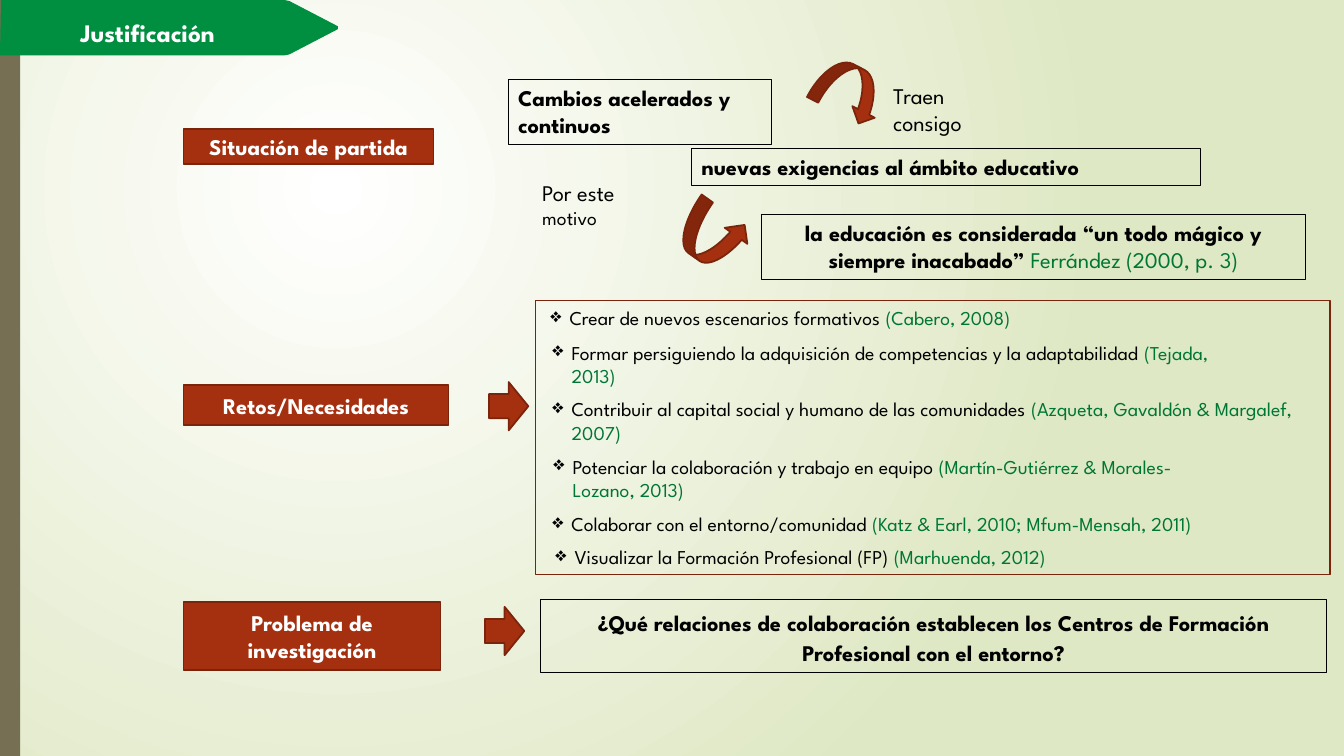
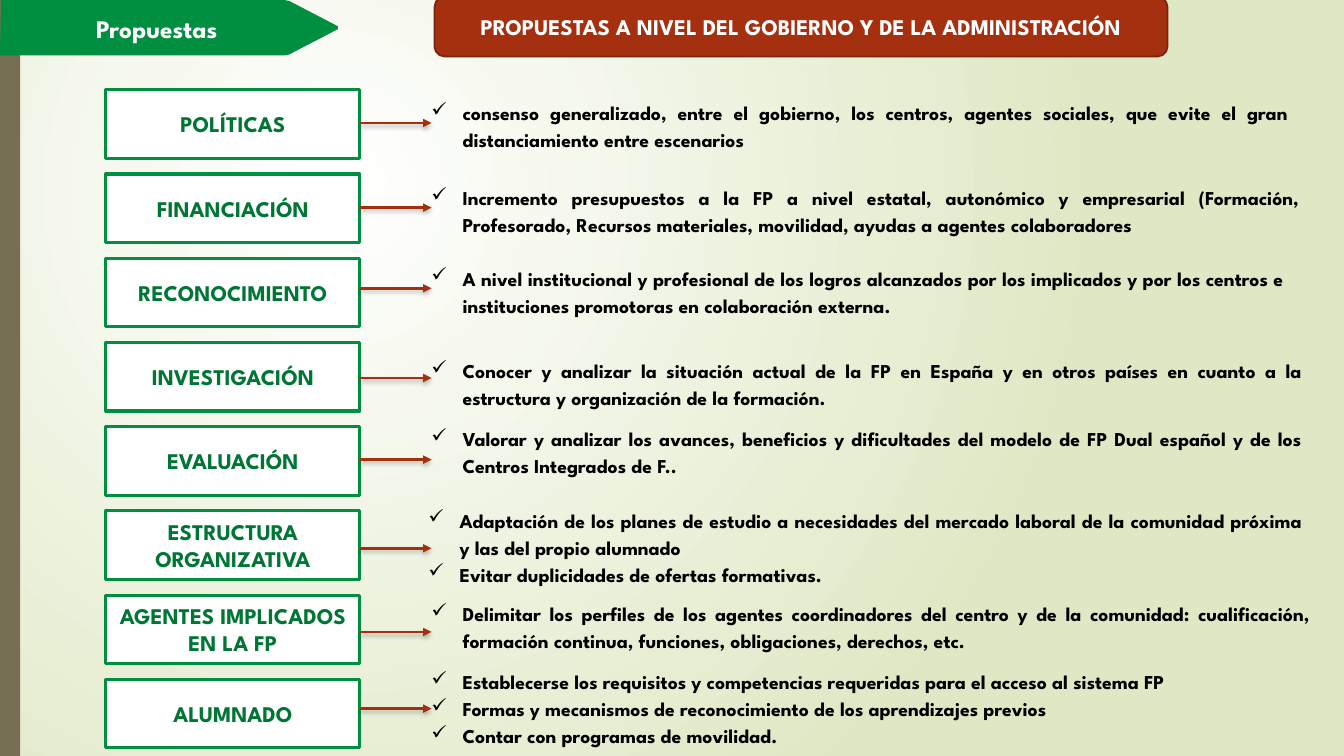
from lxml.etree import SubElement
from pptx import Presentation
from pptx.dml.color import RGBColor
from pptx.enum.shapes import MSO_CONNECTOR, MSO_SHAPE
from pptx.enum.text import MSO_ANCHOR, MSO_AUTO_SIZE, PP_ALIGN
from pptx.oxml.ns import qn
from pptx.util import Inches, Pt

COLORS = {
    "white": "FFFFFF", "black": "000000", "backdrop": "DFE8C4",
    "bar": "766F54", "band": "008E40", "green": "007635",
    "red": "A53010", "dark_red": "7A240C",
}
FONT = "League Spartan"
BAND_OUTLINE = [(0.01, 0), (2.82, 0), (2.87, 0.01), (3.35, 0.26),
                (3.35, 0.29), (2.87, 0.54), (2.82, 0.55), (0, 0.55)]


def rgb(name):
    return RGBColor.from_string(COLORS[name])


class Deck:
    """Holds the shared style and the slide being built."""

    def __init__(self):
        self.prs = Presentation()
        self.prs.slide_width = Inches(13.33)
        self.prs.slide_height = Inches(7.5)
        self.s = None

    def slide(self, title, left, top, width):
        self.s = self.prs.slides.add_slide(self.prs.slide_layouts[6])
        self.backdrop()
        self.shape(MSO_SHAPE.RECTANGLE, 0, 0, 0.2, 7.5, fill="bar")
        points = [(Inches(x), Inches(y)) for x, y in BAND_OUTLINE]
        builder = self.s.shapes.build_freeform(*points[0])
        builder.add_line_segments(points[1:])
        self.paint(builder.convert_to_shape(), "band")
        self.text(left, top, width, 0.4, [title], size=18, color="white",
                  bold=True, align=PP_ALIGN.CENTER)

    def backdrop(self):
        """Radial gradient centred in the upper left quarter."""
        fill = self.s.background.fill
        fill.gradient()
        for stop, name in zip(fill.gradient_stops, ("white", "backdrop")):
            stop.color.rgb = rgb(name)
        grad = self.s.element.find(".//" + qn("a:gradFill"))
        grad.remove(grad.find(qn("a:lin")))
        circle = SubElement(grad, qn("a:path"), path="circle")
        SubElement(circle, qn("a:fillToRect"),
                   l="50000", t="50000", r="100000", b="100000")

    def paint(self, sp, fill=None, line=None, weight=1.25):
        sp.shadow.inherit = False
        if fill:
            sp.fill.solid()
            sp.fill.fore_color.rgb = rgb(fill)
        else:
            sp.fill.background()
        if line:
            sp.line.color.rgb = rgb(line)
            sp.line.width = Pt(weight)
        else:
            sp.line.fill.background()

    def shape(self, kind, left, top, width, height, fill=None, line=None,
              weight=1.25, rotation=0):
        sp = self.s.shapes.add_shape(kind, Inches(left), Inches(top),
                                     Inches(width), Inches(height))
        self.paint(sp, fill, line, weight)
        sp.rotation = rotation
        return sp

    def red(self, kind, *at, rotation=0):
        return self.shape(kind, *at, "red", "dark_red", rotation=rotation)

    def set_text(self, sp, paragraphs, size=16, color="black", bold=False,
                 align=PP_ALIGN.LEFT, spacing=None, bullet=None, indent=0,
                 anchor=MSO_ANCHOR.TOP):
        """A paragraph is a string or a list of (text, run overrides)."""
        tf = sp.text_frame
        tf.word_wrap = True
        tf.vertical_anchor = anchor
        if anchor == MSO_ANCHOR.TOP:
            tf.auto_size = MSO_AUTO_SIZE.SHAPE_TO_FIT_TEXT
        for i, runs in enumerate(paragraphs):
            p = tf.add_paragraph() if i else tf.paragraphs[0]
            p.alignment = align
            if spacing:
                p.line_spacing = spacing
            if bullet:
                pPr = p._p.get_or_add_pPr()
                pPr.set("marL", str(Inches(indent)))
                pPr.set("indent", str(-Inches(indent)))
                SubElement(pPr, qn("a:buChar"), char=bullet)
            for text, changes in [(runs, {})] if isinstance(runs, str) else runs:
                look = {"size": size, "color": color, "bold": bold, **changes}
                r = p.add_run()
                r.text = text
                r.font.name = FONT
                r.font.size = Pt(look["size"])
                r.font.bold = look["bold"]
                r.font.color.rgb = rgb(look["color"])

    def text(self, left, top, width, height, paragraphs, **style):
        sp = self.s.shapes.add_textbox(Inches(left), Inches(top),
                                       Inches(width), Inches(height))
        self.set_text(sp, paragraphs, **style)

    def label(self, sp, text, color="white"):
        self.set_text(sp, [text], color=color, bold=True,
                      align=PP_ALIGN.CENTER, anchor=MSO_ANCHOR.MIDDLE)

    def framed(self, at, paragraph, **style):
        sp = self.shape(MSO_SHAPE.RECTANGLE, *at, line="black", weight=0.75)
        self.set_text(sp, [paragraph], bold=True, **style)

    def arrow(self, x1, x2, y):
        sp = self.s.shapes.add_connector(MSO_CONNECTOR.STRAIGHT, Inches(x1),
                                         Inches(y), Inches(x2), Inches(y))
        sp.line.color.rgb = rgb("red")
        sp.line.width = Pt(1.75)
        spPr = sp.element.spPr
        SubElement(spPr.get_or_add_ln(), qn("a:tailEnd"), type="triangle")
        shadow = SubElement(SubElement(spPr, qn("a:effectLst")),
                            qn("a:outerShdw"), blurRad=str(Pt(3)),
                            dist=str(Pt(2)), dir="5400000")
        shade = SubElement(shadow, qn("a:srgbClr"), val=COLORS["black"])
        SubElement(shade, qn("a:alpha"), val="25000")


STAGES = [
    ("Situación de partida", 1.28, 2.48, 0.35),
    ("Retos/Necesidades", 3.82, 2.63, 0.4),
    ("Problema de investigación", 5.97, 2.55, 0.68),
]

# left, top, width, height, challenge, citation
CHALLENGES = [
    (5.36, 2.99, 6.21, 0.34, "Crear de nuevos escenarios formativos ",
     "(Cabero, 2008)"),
    (5.38, 3.33, 7.08, 0.57,
     "Formar persiguiendo la adquisición de competencias y la adaptabilidad ",
     "(Tejada, 2013)"),
    (5.38, 3.89, 7.65, 0.57,
     "Contribuir al capital social y humano de las comunidades ",
     "(Azqueta, Gavaldón & Margalef, 2007)"),
    (5.39, 4.46, 6.92, 0.57, "Potenciar la colaboración y trabajo en equipo ",
     "(Martín-Gutiérrez & Morales-Lozano, 2013)"),
    (5.38, 5.03, 8.44, 0.34, "Colaborar con el entorno/comunidad ",
     "(Katz & Earl, 2010; Mfum-Mensah, 2011)"),
    (5.41, 5.36, 6.5, 0.34, "Visualizar la Formación Profesional (FP) ",
     "(Marhuenda, 2012)"),
]

# area, arrow height, text box (left, top, width, height), proposals
PROPOSALS = [
    ("POLÍTICAS", 1.22, (4.18, 0.92, 8.7, 0.64), [
        "consenso generalizado, entre el gobierno, los centros, agentes "
        "sociales, que evite el gran distanciamiento entre escenarios"]),
    ("FINANCIACIÓN", 2.06, (4.18, 1.76, 8.81, 0.62), [
        "Incremento presupuestos a la FP a nivel estatal, autonómico y "
        "empresarial (Formación, Profesorado, Recursos materiales, "
        "movilidad, ayudas a agentes colaboradores"]),
    ("RECONOCIMIENTO", 2.86, (4.18, 2.56, 8.66, 0.62), [
        "A nivel institucional y profesional de los logros alcanzados por "
        "los implicados y por los centros e instituciones promotoras en "
        "colaboración externa."]),
    ("INVESTIGACIÓN", 3.75, (4.18, 3.48, 8.84, 0.64), [
        "Conocer y analizar la situación actual de la FP en España y en "
        "otros países en cuanto a la estructura y organización de la "
        "formación."]),
    ("EVALUACIÓN", 4.56, (4.18, 4.15, 8.84, 0.62), [
        "Valorar y analizar los avances, beneficios y dificultades del "
        "modelo de FP Dual español y de los Centros Integrados de F.."]),
    ("ESTRUCTURA ORGANIZATIVA", 5.44, (4.15, 4.96, 8.87, 0.91), [
        "Adaptación de los planes de estudio a necesidades del mercado "
        "laboral de la comunidad próxima y las del propio alumnado",
        "Evitar duplicidades de ofertas formativas."]),
    ("AGENTES IMPLICADOS EN LA FP", 6.27, (4.18, 5.89, 8.92, 0.62), [
        "Delimitar los perfiles de los agentes coordinadores del centro y "
        "de la comunidad: cualificación, formación continua, funciones, "
        "obligaciones, derechos, etc."]),
    ("ALUMNADO", 7.03, (4.18, 6.56, 8.62, 0.91), [
        "Establecerse los requisitos y competencias requeridas para el "
        "acceso al sistema FP",
        "Formas y mecanismos de reconocimiento de los aprendizajes previos",
        "Contar con programas de movilidad."]),
]


def justification(deck):
    deck.slide("Justificación", 0.56, 0.12, 1.81)
    for name, top, width, height in STAGES:
        deck.label(deck.red(MSO_SHAPE.RECTANGLE, 1.82, top, width, height), name)

    deck.framed((5.04, 0.79, 2.61, 0.64), "Cambios acelerados y continuos")
    deck.framed((6.86, 1.47, 5.05, 0.37), "nuevas exigencias al ámbito educativo")
    deck.framed((7.55, 2.13, 5.4, 0.64), [
        ("la educación es considerada “un todo mágico y siempre inacabado” ", {}),
        ("Ferrández (2000, p. 3)", {"color": "green", "bold": False}),
    ], align=PP_ALIGN.CENTER)
    deck.framed((5.36, 5.95, 7.8, 0.72),
                "¿Qué relaciones de colaboración establecen los Centros de "
                "Formación Profesional con el entorno?",
                align=PP_ALIGN.CENTER, spacing=1.15)

    deck.text(8.76, 0.77, 1.26, 0.64, ["Traen consigo"])
    deck.text(5.28, 1.73, 1.36, 0.64,
              [[("Por este ", {}), ("motivo", {"size": 14})]])
    deck.red(MSO_SHAPE.CURVED_LEFT_ARROW, 8.18, 0.55, 0.5, 0.7, rotation=297.3)
    deck.red(MSO_SHAPE.CURVED_UP_ARROW, 6.74, 2.07, 0.66, 0.55, rotation=35.3)

    for *at, challenge, citation in CHALLENGES:
        deck.text(*at, [[(challenge, {}), (citation, {"color": "green"})]],
                  size=14, bullet="❖", indent=0.19)
    deck.shape(MSO_SHAPE.RECTANGLE, 5.31, 2.98, 7.88, 2.72,
               line="dark_red", weight=1)
    for left, top in ((4.85, 3.79), (4.81, 6.02)):
        deck.red(MSO_SHAPE.RIGHT_ARROW, left, top, 0.39, 0.48)


def proposals(deck):
    deck.slide("Propuestas", -0.05, 0.08, 3.21)
    deck.label(deck.red(MSO_SHAPE.ROUNDED_RECTANGLE, 4.31, -0.03, 7.27, 0.59),
               "PROPUESTAS A NIVEL DEL GOBIERNO Y DE LA ADMINISTRACIÓN")
    first, last = 0.89, 6.74
    pitch = (last - first) / (len(PROPOSALS) - 1)
    for i, (area, arrow_y, at, items) in enumerate(PROPOSALS):
        sp = deck.shape(MSO_SHAPE.RECTANGLE, 1.05, first + i * pitch, 2.52, 0.68,
                        "white", "band", 2.25)
        deck.label(sp, area, "green")
        deck.text(*at, items, size=14, bold=True, align=PP_ALIGN.JUSTIFY,
                  spacing=1.15, bullet="✓", indent=0.31)
        deck.arrow(3.57, 4.28, arrow_y)


def main():
    deck = Deck()
    justification(deck)
    proposals(deck)
    deck.prs.save("out.pptx")


if __name__ == "__main__":
    main()
